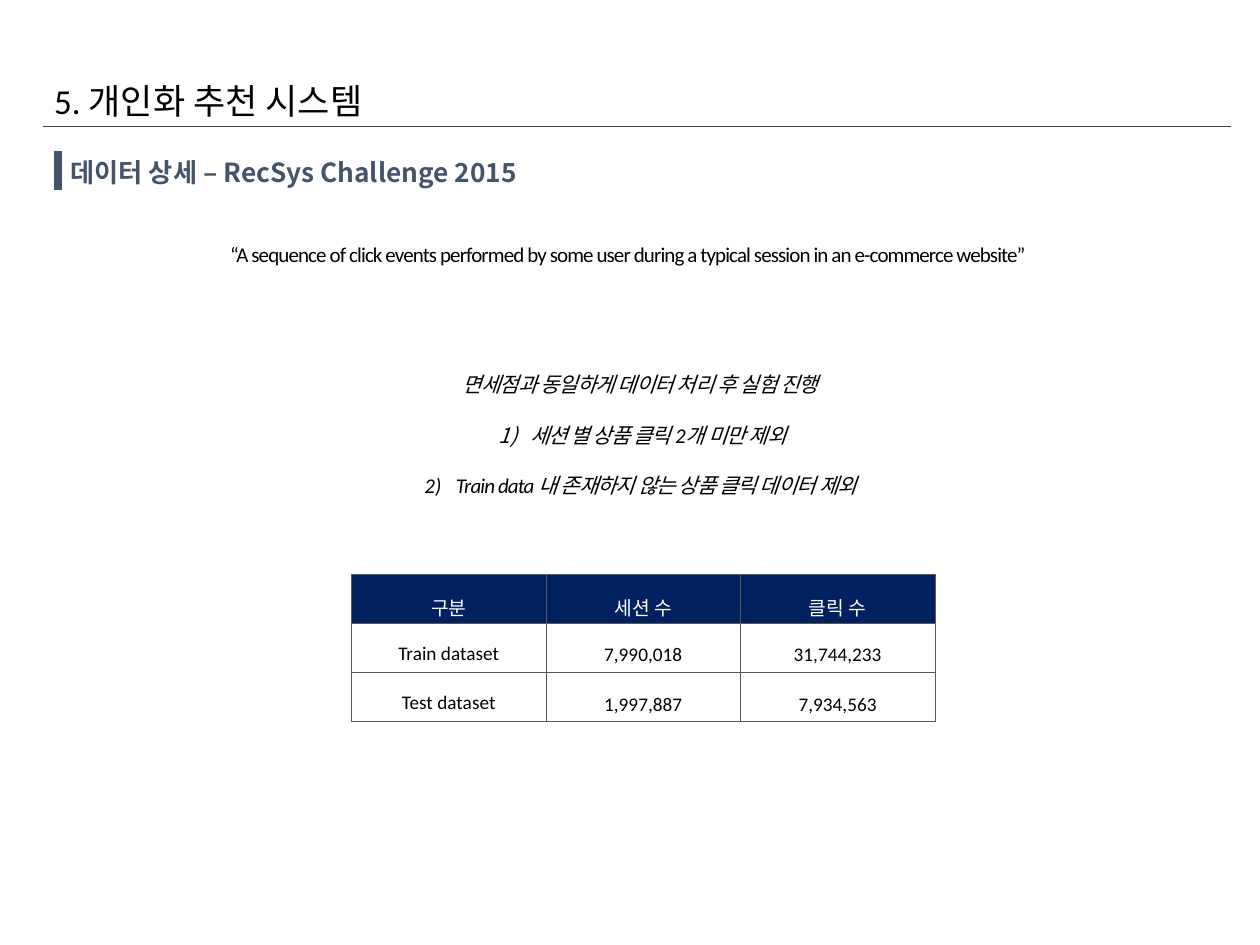
from lxml import etree
from pptx import Presentation
from pptx import util as u
from pptx.dml.color import RGBColor
from pptx.enum import shapes, text
from pptx.oxml import parse_xml
from pptx.oxml.ns import nsdecls, qn

COLORS = {"ink": "000000", "rule": "404040", "accent": "44546A",
          "navy": "002060", "border": "595959", "white": "FFFFFF"}

deck = Presentation()
deck.slide_width, deck.slide_height = u.Inches(10), u.Inches(7.5)
slide = deck.slides.add_slide(deck.slide_layouts[6])

# Grid of 100 columns by 75 rows
COL = deck.slide_width / 100
ROW = deck.slide_height / 75


def write(frame, lines, size, color, name="Calibri", align=None, spacing=None,
          numbered_from=None, outlined=False, **style):
    for i, line in enumerate(lines):
        para = frame.paragraphs[0] if i == 0 else frame.add_paragraph()
        para.alignment, para.line_spacing = align, spacing
        if numbered_from is not None and i >= numbered_from:
            props = para._p.get_or_add_pPr()
            props.set("marL", str(u.Inches(0.25)))
            props.set("indent", str(-u.Inches(0.25)))
            etree.SubElement(props, qn("a:buFont"), typeface="+mj-lt")
            etree.SubElement(props, qn("a:buAutoNum"), type="arabicParenR")
        run = para.add_run()
        run.text = line
        for key, value in {"size": u.Pt(size), "name": name, **style}.items():
            setattr(run.font, key, value)
        run.font.color.rgb = RGBColor.from_string(COLORS[color])
        run_props = run._r.get_or_add_rPr()
        run_props.find(qn("a:latin")).addnext(parse_xml(
            f'<a:ea {nsdecls("a")} typeface="Noto Sans CJK KR"/>'))
        if outlined:
            run_props.set("spc", "-50")
            run_props.insert(0, parse_xml(
                f'<a:ln {nsdecls("a")} w="{u.Pt(0.75)}"><a:solidFill>'
                f'<a:srgbClr val="{COLORS["navy"]}"><a:alpha val="20000"/>'
                '</a:srgbClr></a:solidFill></a:ln>'))


def text_box(x, y, w, h, margins=(0, 0)):
    box = slide.shapes.add_textbox(int(x * COL), int(y * ROW), int(w * COL), int(h * ROW))
    frame = box.text_frame
    side, edge = (u.Inches(m) for m in margins)
    layout = {"word_wrap": True, "vertical_anchor": text.MSO_ANCHOR.MIDDLE,
              "margin_left": side, "margin_right": side,
              "margin_top": edge, "margin_bottom": edge}
    for key, value in layout.items():
        setattr(frame, key, value)
    return frame


# Title rule and section bar
for x1, y1, x2, y2, color, width in [(3.4, 10, 97.7, 10, "rule", 0.5),
                                     (4.6, 12, 4.6, 15.1, "accent", 4.32)]:
    rule = slide.shapes.add_connector(
        shapes.MSO_CONNECTOR.STRAIGHT,
        int(x1 * COL), int(y1 * ROW), int(x2 * COL), int(y2 * ROW))
    rule.line.color.rgb = RGBColor.from_string(COLORS[color])
    rule.line.width = u.Pt(width)
    etree.SubElement(rule._element.spPr, qn("a:effectLst"))

# Headings
write(text_box(3.4, 6.4, 95.3, 3.1, (0.09, 0.04)),
      ["5. 개인화 추천 시스템"], 20, "ink")
write(text_box(4.7, 11.7, 39.5, 3.9, (0.09, 0.04)),
      ["데이터 상세 – RecSys Challenge 2015"], 15, "accent",
      name="Noto Sans CJK KR", bold=True)

# Quote and processing steps
CENTER = text.PP_ALIGN.CENTER
write(text_box(8.9, 17.7, 82.2, 3.9),
      ["“A sequence of click events performed by some user during a typical "
       "session in an e-commerce website” "],
      12, "ink", align=CENTER, spacing=1.5, outlined=True)
write(text_box(12.1, 27.4, 77.8, 12.2),
      ["면세점과 동일하게 데이터 처리 후 실험 진행 ",
       "세션 별 상품 클릭 2개 미만 제외",
       "Train data 내 존재하지 않는 상품 클릭 데이터 제외 "],
      12, "ink", align=CENTER, spacing=2.0, numbered_from=1, outlined=True,
      italic=True)

# Dataset table
datasets = [("구분", "세션 수", "클릭 수"),
            ("Train dataset", "7,990,018", "31,744,233"),
            ("Test dataset", "1,997,887", "7,934,563")]
table = slide.shapes.add_table(3, 3, int(27.9 * COL), int(45.6 * ROW),
                               int(46.3 * COL), int(11.7 * ROW)).table
table.horz_banding = False
for r, values in enumerate(datasets):
    table.rows[r].height = int(3.9 * ROW)
    for c, value in enumerate(values):
        cell = table.cell(r, c)
        cell.vertical_anchor = text.MSO_ANCHOR.MIDDLE
        cell.margin_left = cell.margin_right = u.Inches(0.07)
        cell.margin_top = cell.margin_bottom = 0
        write(cell.text_frame, [value], 11, "ink" if r else "white",
              align=CENTER, spacing=1.5 if r and c == 0 else 1.6, bold=False)
        cell_props = cell._tc.get_or_add_tcPr()
        for side in ("lnL", "lnR", "lnT", "lnB"):
            cell_props.append(parse_xml(
                f'<a:{side} {nsdecls("a")} w="{u.Pt(0.5)}"><a:solidFill>'
                f'<a:srgbClr val="{COLORS["border"]}"/></a:solidFill></a:{side}>'))
        if r == 0:
            cell.fill.solid()
            cell.fill.fore_color.rgb = RGBColor.from_string(COLORS["navy"])
        else:
            cell.fill.background()

deck.save("out.pptx")
